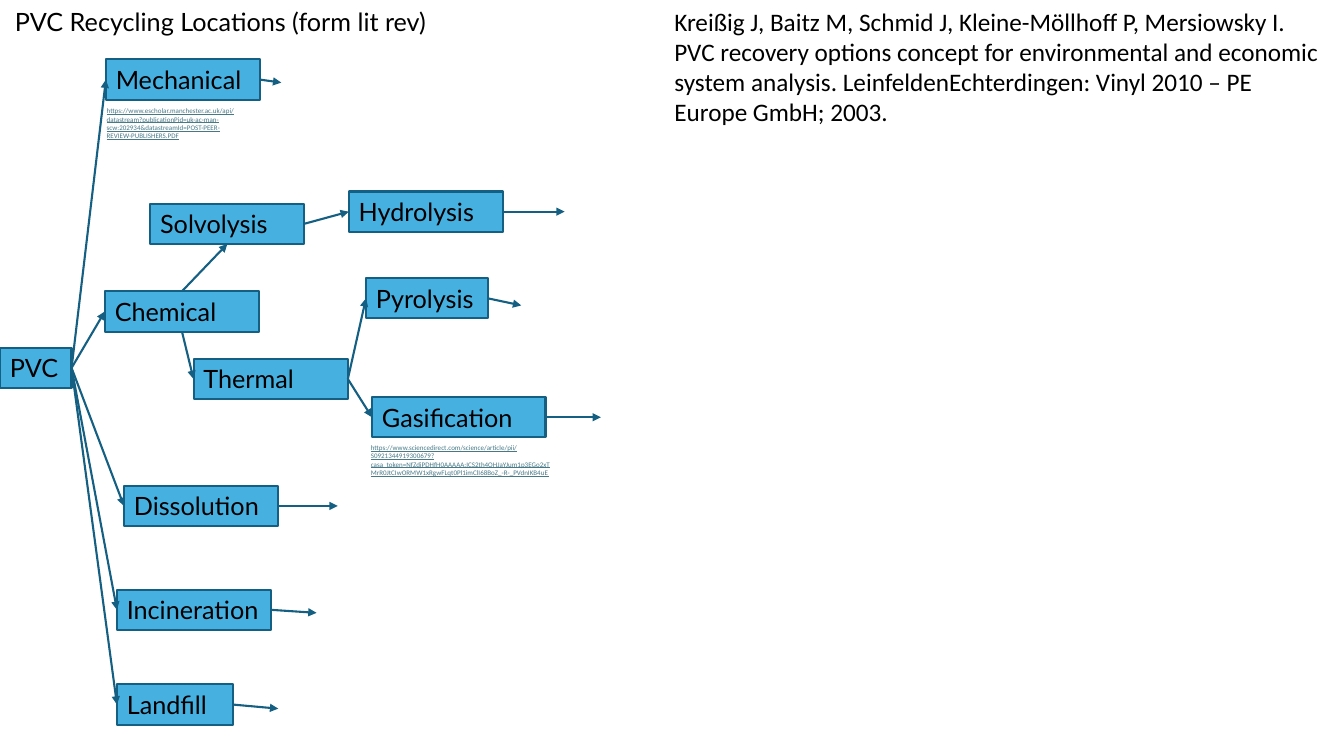
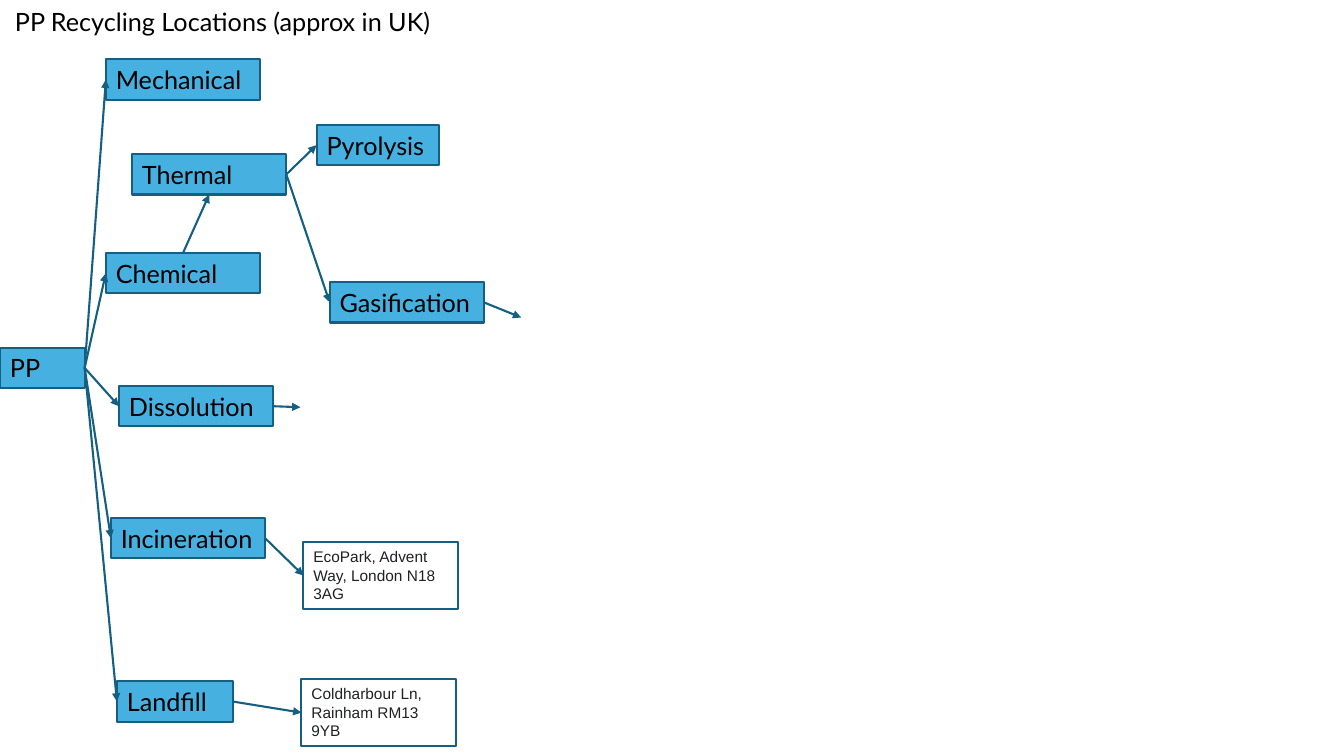
import pptx
import pptx.dml.color
import pptx.enum.shapes
import pptx.enum.text
import pptx.oxml.ns
import pptx.util
from lxml import etree

PX = 9144
SLIDE_W, SLIDE_H = 1333, 750
STEP_W, STEP_H, SITE_H = 153, 40, 66
TOP, LEFT, BOTTOM, RIGHT = range(4)
COLOURS = {
    "step": "46B1E1",
    "edge": "156082",
    "ink": "000000",
    "link": "467886",
    "site": "FFFFFF",
    "address": "202124",
}
STEP_FORMAT = dict(fill="step")
SITE_FORMAT = dict(fill="site", font="Arial", size=11, colour="address")
CITATION_FORMAT = dict(font="Calibri")
LINK_FORMAT = dict(font="Calibri", size=5, colour="link", underline=True)

DIAGRAMS = [
    dict(
        title=("PVC Recycling Locations (form lit rev)", 428),
        steps={
            "PVC": (0, 345, 71),
            "Mechanical": (105, 59, STEP_W),
            "Chemical": (104, 289, STEP_W),
            "Dissolution": (123, 482, STEP_W),
            "Incineration": (116, 585, STEP_W),
            "Landfill": (116, 679, 115),
            "Solvolysis": (149, 202, STEP_W),
            "Hydrolysis": (346, 190, STEP_W),
            "Thermal": (192, 356, STEP_W),
            "Pyrolysis": (363, 276, 121),
            "Gasification": (369, 394, 172),
        },
        sites={},
        root="PVC",
        branches=["Mechanical", "Chemical", "Dissolution", "Incineration", "Landfill"],
        links=[
            ("Chemical", TOP, "Solvolysis", BOTTOM),
            ("Chemical", BOTTOM, "Thermal", LEFT),
            ("Solvolysis", RIGHT, "Hydrolysis", LEFT),
            ("Thermal", RIGHT, "Pyrolysis", LEFT),
            ("Thermal", RIGHT, "Gasification", LEFT),
        ],
        open_ends={
            "Mechanical": (279, 82),
            "Hydrolysis": (560, 210),
            "Pyrolysis": (517, 303),
            "Gasification": (596, 414),
            "Dissolution": (335, 502),
            "Incineration": (314, 608),
            "Landfill": (276, 703),
        },
        references=[
            ("Kreißig J, Baitz M, Schmid J, Kleine-Möllhoff P, Mersiowsky I. PVC recovery options "
             "concept for environmental and economic system analysis. LeinfeldenEchterdingen: "
             "Vinyl 2010 – PE Europe GmbH; 2003.", (659, 1, 669, 131), CITATION_FORMAT),
            ("https://www.escholar.manchester.ac.uk/api/datastream?publicationPid=uk-ac-man-scw:202934"
             "&datastreamId=POST-PEER-REVIEW-PUBLISHERS.PDF", (96, 101, 153, 44), LINK_FORMAT),
            ("https://www.sciencedirect.com/science/article/pii/S0921344919300679?casa_token="
             "NfZdjPDHfH0AAAAA:ICS2th4OHJaYJum1p3EGo2xTMrR0JtCIwORMW1xRgwFLqt0Pl1imClI68BoZ_-R-"
             "_PVdnIKB4uE", (358, 435, 200, 44), LINK_FORMAT),
        ],
    ),
    dict(
        title=("PP Recycling Locations (approx in UK)", 434),
        steps={
            "PP": (0, 345, 84),
            "Mechanical": (105, 59, STEP_W),
            "Chemical": (105, 251, STEP_W),
            "Dissolution": (118, 383, STEP_W),
            "Incineration": (110, 514, STEP_W),
            "Landfill": (116, 676, 115),
            "Thermal": (131, 153, STEP_W),
            "Pyrolysis": (314, 124, 121),
            "Gasification": (327, 280, STEP_W),
        },
        sites={
            "EcoPark, Advent Way, London N18 3AG": (301, 538, STEP_W),
            "Coldharbour Ln, Rainham RM13 9YB": (299, 674, STEP_W),
        },
        root="PP",
        branches=["Mechanical", "Chemical", "Dissolution", "Incineration", "Landfill"],
        links=[
            ("Chemical", TOP, "Thermal", BOTTOM),
            ("Thermal", RIGHT, "Pyrolysis", LEFT),
            ("Thermal", RIGHT, "Gasification", LEFT),
            ("Incineration", RIGHT, "EcoPark, Advent Way, London N18 3AG", LEFT),
            ("Landfill", RIGHT, "Coldharbour Ln, Rainham RM13 9YB", LEFT),
        ],
        open_ends={"Gasification": (517, 315), "Dissolution": (298, 404)},
        references=[],
    ),
]


def rgb(name):
    return pptx.dml.color.RGBColor.from_string(COLOURS[name])


def add_text(slide, text, place, *, fill=None, font="Lato", size=18, colour="ink",
             underline=None, wrap=True):
    bounds = [length * PX for length in place]
    if fill:
        box = slide.shapes.add_shape(pptx.enum.shapes.MSO_SHAPE.RECTANGLE, *bounds)
        box.shadow.inherit = False
        box.fill.solid()
        box.fill.fore_color.rgb = rgb(fill)
        box.line.color.rgb = rgb("edge")
        box.line.width = pptx.util.Pt(1.5)
    else:
        box = slide.shapes.add_textbox(*bounds)
    frame = box.text_frame
    frame.word_wrap = wrap
    frame.auto_size = pptx.enum.text.MSO_AUTO_SIZE.SHAPE_TO_FIT_TEXT
    frame.vertical_anchor = pptx.enum.text.MSO_ANCHOR.TOP
    paragraph = frame.paragraphs[0]
    paragraph.alignment = pptx.enum.text.PP_ALIGN.LEFT
    run = paragraph.add_run()
    run.text = text
    run.font.name = font
    run.font.size = pptx.util.Pt(size)
    run.font.underline = underline
    run.font.color.rgb = rgb(colour)
    return box


def add_arrow(slide, start, start_side, end=None, end_side=None, point=(0, 0)):
    arrow = slide.shapes.add_connector(
        pptx.enum.shapes.MSO_CONNECTOR.STRAIGHT, 0, 0, point[0] * PX, point[1] * PX)
    arrow.begin_connect(start, start_side)
    if end is not None:
        arrow.end_connect(end, end_side)
    arrow.line.color.rgb = rgb("edge")
    arrow.line.width = pptx.util.Pt(1.5)
    qn = pptx.oxml.ns.qn
    etree.SubElement(arrow.line._get_or_add_ln(), qn("a:tailEnd"), type="triangle")
    etree.SubElement(arrow._element.spPr, qn("a:effectLst"))


def build_diagram(slide, diagram):
    title, title_width = diagram["title"]
    add_text(slide, title, (5, 1, title_width, STEP_H), wrap=False)
    boxes = {}
    for group, height, style in (("steps", STEP_H, STEP_FORMAT), ("sites", SITE_H, SITE_FORMAT)):
        for label, place in diagram[group].items():
            boxes[label] = add_text(slide, label, (*place, height), **style)
    root_links = [(diagram["root"], RIGHT, branch, LEFT) for branch in diagram["branches"]]
    for start, start_side, end, end_side in root_links + diagram["links"]:
        add_arrow(slide, boxes[start], start_side, boxes[end], end_side)
    for start, point in diagram["open_ends"].items():
        add_arrow(slide, boxes[start], RIGHT, point=point)
    for text, place, style in diagram["references"]:
        add_text(slide, text, place, **style)


def main():
    deck = pptx.Presentation()
    deck.slide_width = SLIDE_W * PX
    deck.slide_height = SLIDE_H * PX
    for diagram in DIAGRAMS:
        build_diagram(deck.slides.add_slide(deck.slide_layouts[6]), diagram)
    deck.save("out.pptx")


if __name__ == "__main__":
    main()
